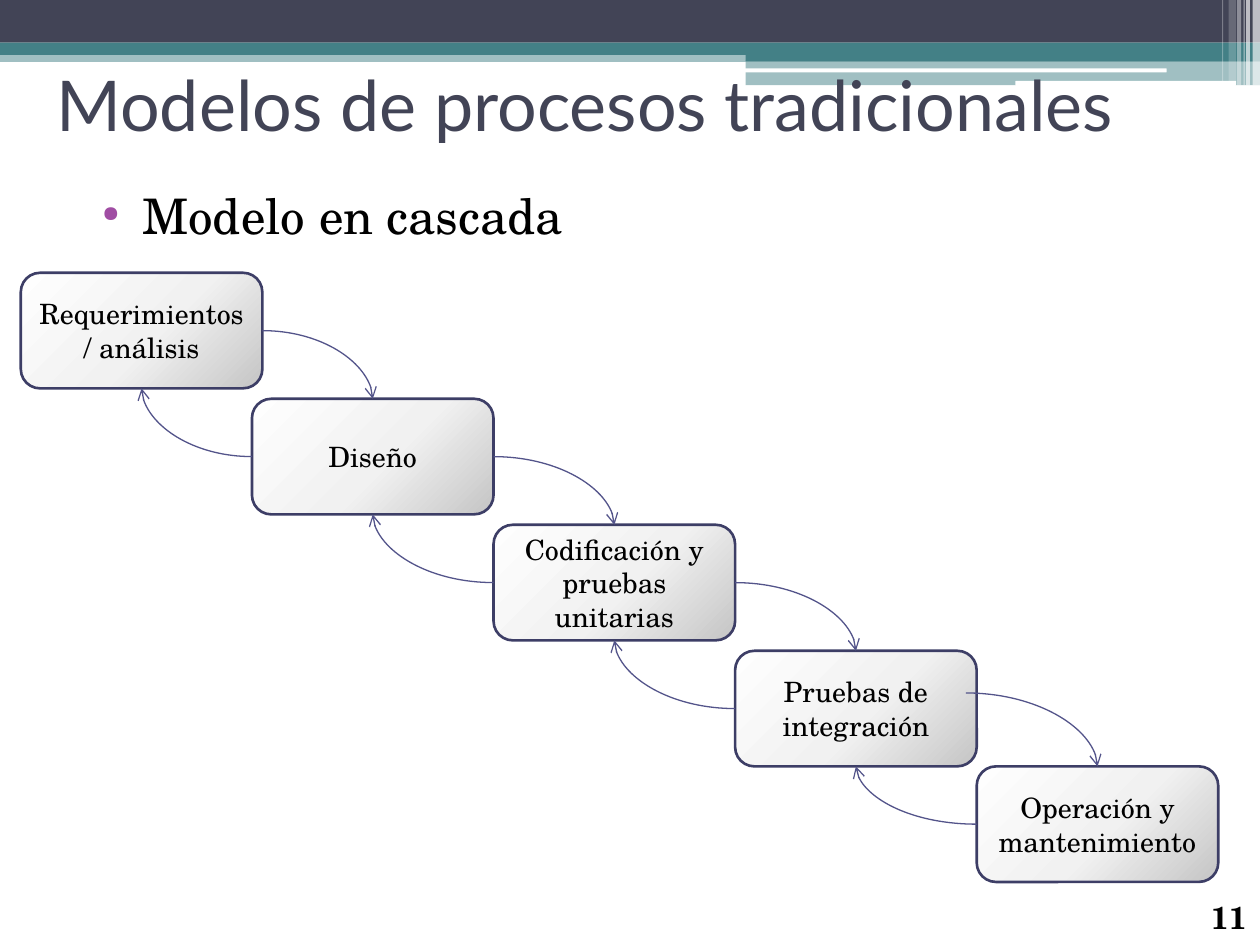
"""Builds the slide on the waterfall process model."""
from lxml import etree
from pptx import Presentation
from pptx import util as u
from pptx.dml.color import RGBColor
from pptx.enum import shapes, text
from pptx.oxml import parse_xml
from pptx.oxml.ns import nsdecls, qn

SLATE = RGBColor(0x42, 0x44, 0x56)
TEAL = RGBColor(0x43, 0x80, 0x86)
WHITE = RGBColor(0xFF, 0xFF, 0xFF)
BLACK = RGBColor(0, 0, 0)
BORDER = RGBColor(0x3D, 0x3E, 0x66)
ARROW = RGBColor(0x53, 0x54, 0x8A)
BULLET = RGBColor(0xA0, 0x4D, 0xA3)
SANS, SERIF = "Lato", "TeX Gyre Schola"
RECT, ROUND = shapes.MSO_SHAPE.RECTANGLE, shapes.MSO_SHAPE.ROUNDED_RECTANGLE

BANDS = [
    (RECT, 0, 1.02, 25.4, 0.23, TEAL, 50),
    (RECT, 0, 0, 25.4, 0.86, SLATE, 100),
    (RECT, 0, 0.86, 25.4, 0.25, TEAL, 100),
    (RECT, 15.03, 0.99, 10.37, 0.24, TEAL, 100),
    (RECT, 15.03, 1.22, 10.37, 0.5, TEAL, 50),
    (ROUND, 15.01, 1.38, 8.51, 0.08, WHITE, 100),
    (ROUND, 20.47, 1.63, 4.45, 0.1, WHITE, 100),
]
STRIPES = [
    (25.25, 0.15, 1.73, 65), (25.12, 0.08, 1.73, 65), (25.07, 0.02, 1.73, 60),
    (24.94, 0.08, 1.73, 40), (24.77, 0.15, 1.63, 20), (24.64, 0.02, 1.63, 30),
]
BANDS += [(RECT, left, 0, width, height, WHITE, alpha)
          for left, width, height, alpha in STRIPES]

STAGES = [
    ("Requerimientos / análisis", 0.42, 5.5),
    ("Diseño", 5.08, 8.04),
    ("Codificación y pruebas unitarias", 9.95, 10.58),
    ("Pruebas de integración", 14.82, 13.12),
    ("Operación y mantenimiento", 19.69, 15.45),
]
STAGE_W, STAGE_H = 4.87, 2.33
LAST_STEP_START = (19.47, 13.97)
GRADIENT = [(0, "FEFEFE"), (55, "F1F1F1"), (100, "C5C5C5")]

TITLE = dict(words="Modelos de procesos tradicionales", box=(0.91, 0.23, 23.6, 3.76),
             insets=(0.23, 0.1, 0.23, 0.13), anchor=text.MSO_ANCHOR.MIDDLE,
             font=dict(name=SANS, size=u.Pt(40)), color=SLATE)
TOPIC = dict(words="Modelo en cascada", box=(1.55, 3.61, 22.23, 13.69),
             insets=(0.23, 0.13, 0.23, 0.13), anchor=text.MSO_ANCHOR.TOP,
             font=dict(name=SERIF, size=u.Pt(28)), color=BLACK)
NUMBER = dict(words="11", box=(24.18, 17.96, 3.25, 1.09),
              insets=(0.23, 0.15, 0.23, 0.1), anchor=text.MSO_ANCHOR.TOP,
              font=dict(name=SERIF, size=u.Pt(18), bold=True), color=BLACK)
STAGE_FONT = dict(name=SERIF, size=u.Pt(16))

deck = Presentation()
deck.slide_width, deck.slide_height = u.Cm(25.4), u.Cm(19.05)
slide = deck.slides.add_slide(deck.slide_layouts[6])


def cm(*lengths):
    return [u.Cm(length) for length in lengths]


def write(frame, words, font, color):
    paragraph = frame.paragraphs[0]
    run = paragraph.add_run()
    run.text = words
    for key, value in font.items():
        setattr(run.font, key, value)
    run.font.color.rgb = color
    return paragraph


def add_words(words, box, insets, anchor, font, color):
    frame = slide.shapes.add_textbox(*cm(*box)).text_frame
    left, top, right, bottom = cm(*insets)
    layout = dict(word_wrap=True, vertical_anchor=anchor, margin_left=left,
                  margin_top=top, margin_right=right, margin_bottom=bottom)
    for key, value in layout.items():
        setattr(frame, key, value)
    return write(frame, words, font, color)


def add_band(kind, left, top, width, height, color, alpha):
    band = slide.shapes.add_shape(kind, *cm(left, top, width, height))
    band.shadow.inherit = False
    band.fill.solid()
    band.fill.fore_color.rgb = color
    band.line.fill.background()
    if alpha < 100:
        tint = band.fill._xPr.find(qn("a:solidFill"))[0]
        etree.SubElement(tint, qn("a:alpha"), val=str(alpha * 1000))


def add_stage(words, left, top):
    stage = slide.shapes.add_shape(ROUND, *cm(left, top, STAGE_W, STAGE_H))
    stage.shadow.inherit = False
    stops = "".join(f'<a:gs pos="{at * 1000}"><a:srgbClr val="{color}"/></a:gs>'
                    for at, color in GRADIENT)
    stage._element.spPr.insert(2, parse_xml(
        f'<a:gradFill {nsdecls("a")} rotWithShape="1"><a:gsLst>{stops}</a:gsLst>'
        '<a:path path="circle"><a:fillToRect l="-40000" t="-90000" r="140000" '
        'b="190000"/></a:path></a:gradFill>'))
    stage.line.color.rgb = BORDER
    stage.line.width = u.Pt(1.5)
    stage.text_frame.word_wrap = True
    stage.text_frame.vertical_anchor = text.MSO_ANCHOR.MIDDLE
    write(stage.text_frame, words, STAGE_FONT, BLACK).alignment = text.PP_ALIGN.CENTER


def add_arrow(start, end):
    arrow = slide.shapes.add_connector(shapes.MSO_CONNECTOR.CURVE, *cm(*start, *end))
    arrow.line.color.rgb = ARROW
    arrow.line.width = u.Pt(0.75)
    properties = arrow._element.spPr
    properties.find(qn("a:prstGeom")).set("prst", "curvedConnector2")
    etree.SubElement(properties.find(qn("a:ln")), qn("a:tailEnd"), type="arrow")
    etree.SubElement(properties, qn("a:effectLst"))


for band in BANDS:
    add_band(*band)

add_words(**TITLE)
topic = add_words(**TOPIC)
topic.space_before = u.Pt(3)
marker = topic._p.get_or_add_pPr()
marker.set("marL", str(u.Cm(1.09)))
marker.set("indent", str(u.Cm(-0.81)))
bullet_color = etree.SubElement(marker, qn("a:buClr"))
etree.SubElement(bullet_color, qn("a:srgbClr"), val=str(BULLET))
etree.SubElement(marker, qn("a:buSzPct"), val="45000")
etree.SubElement(marker, qn("a:buChar"), char="●")
add_words(**NUMBER)

for stage in STAGES:
    add_stage(*stage)

steps = list(zip(STAGES, STAGES[1:]))
for step, ((_, left, top), (_, next_left, next_top)) in enumerate(steps, 1):
    start = (left + STAGE_W, top + STAGE_H / 2)
    if step == len(steps):
        start = LAST_STEP_START
    add_arrow(start, (next_left + STAGE_W / 2, next_top))
    add_arrow((next_left, next_top + STAGE_H / 2), (left + STAGE_W / 2, top + STAGE_H))

deck.save("out.pptx")
